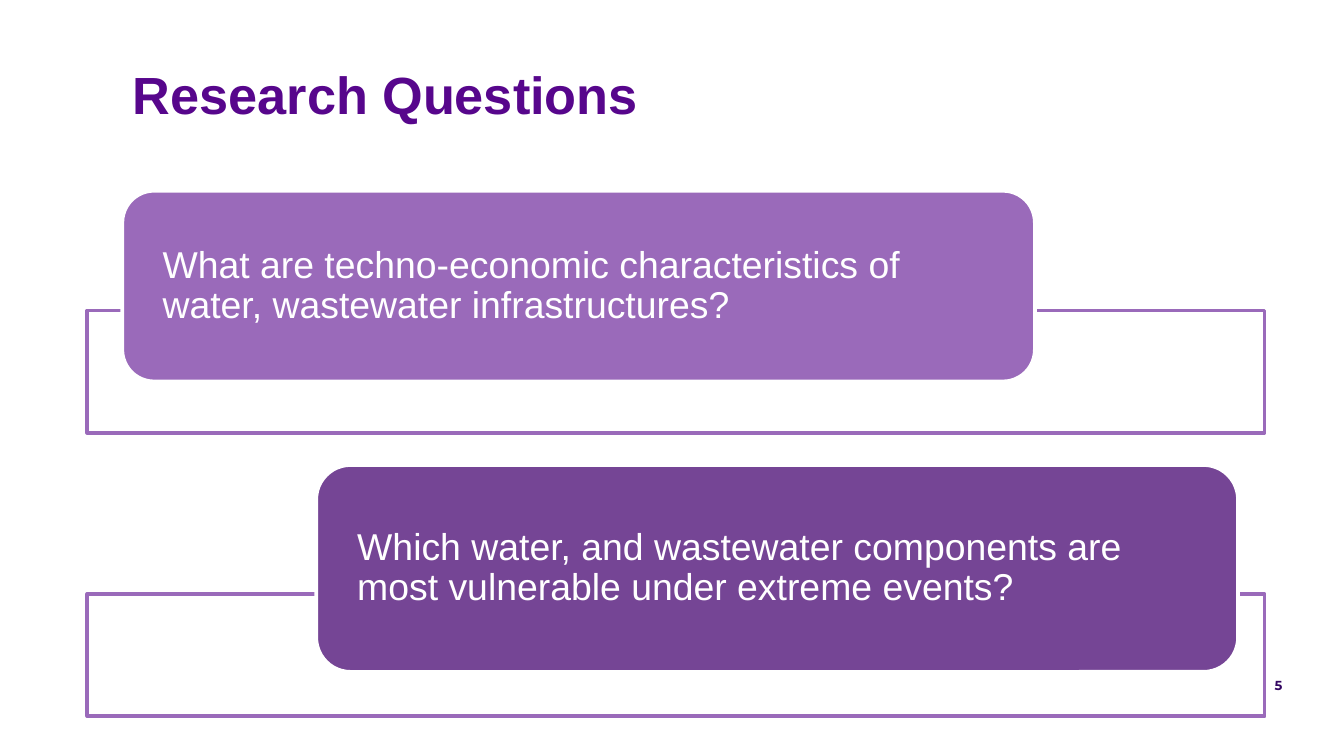
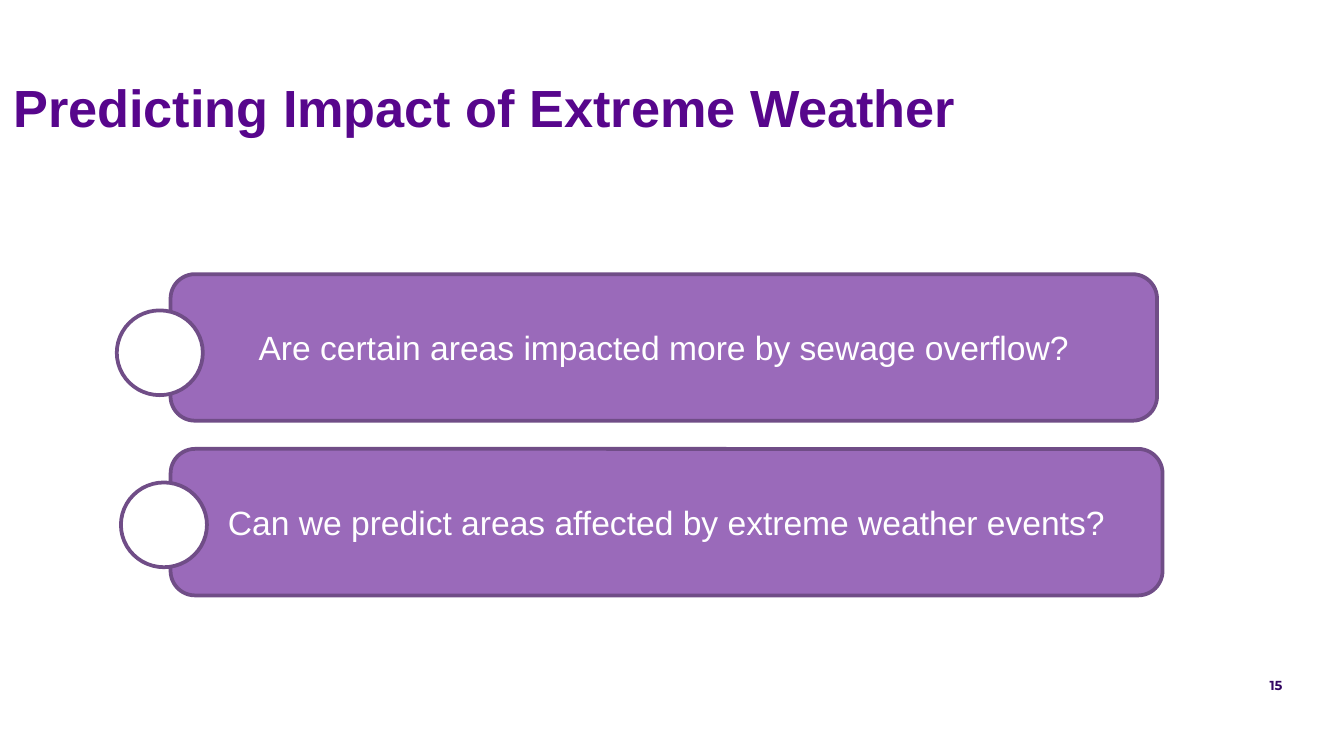
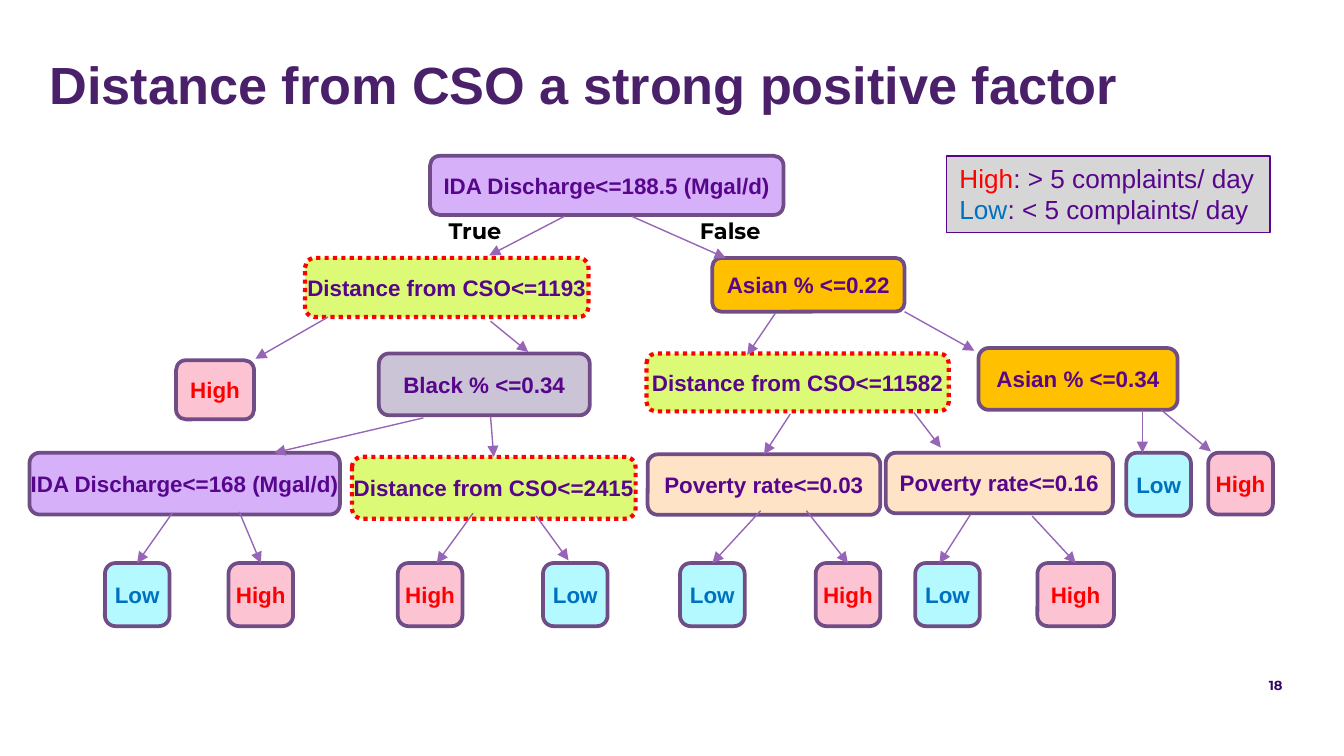
import lxml.etree
import pptx
import pptx.dml.color
import pptx.enum.dml
import pptx.enum.shapes
import pptx.enum.text
import pptx.oxml.ns
import pptx.util

Pt = pptx.util.Pt
qn = pptx.oxml.ns.qn
color = pptx.dml.color.RGBColor.from_string
ROUNDED = pptx.enum.shapes.MSO_SHAPE.ROUNDED_RECTANGLE
RECTANGLE = pptx.enum.shapes.MSO_SHAPE.RECTANGLE
OVAL = pptx.enum.shapes.MSO_SHAPE.OVAL
DOTS = pptx.enum.dml.MSO_LINE.ROUND_DOT
ALIGN = pptx.enum.text.PP_ALIGN
ANCHOR = pptx.enum.text.MSO_ANCHOR

WHITE, BLACK = "FFFFFF", "000000"
PURPLE, DEEP_PURPLE, NUMBER_PURPLE = "57068C", "4A206A", "330662"
LILAC, PLUM, OUTLINE, ARROW = "9A6ABA", "754595", "704D87", "9665B6"
RED, BLUE = "FF0000", "0070C0"


def write(frame, paragraphs, size, font="Arial", bold=False, align=ALIGN.LEFT,
          anchor=ANCHOR.TOP, insets=(7.2, 3.6), wrap=True, spacing=1.0):
    """Fill a text frame; each paragraph is a list of (text, colour) spans."""
    across, down = (Pt(inset) for inset in insets)
    frame_format = {
        "margin_left": across, "margin_right": across,
        "margin_top": down, "margin_bottom": down,
        "vertical_anchor": anchor, "word_wrap": wrap,
        "auto_size": pptx.enum.text.MSO_AUTO_SIZE.NONE,
    }
    for name, value in frame_format.items():
        setattr(frame, name, value)
    for index, spans in enumerate(paragraphs):
        para = frame.paragraphs[0] if index == 0 else frame.add_paragraph()
        para.alignment = align
        para.line_spacing = spacing
        for text, shade in spans:
            span = para.add_run()
            span.text = text
            for name, value in {"name": font, "size": Pt(size), "bold": bold}.items():
                setattr(span.font, name, value)
            span.font.color.rgb = color(shade)


def draw(page, kind, place, fill, line, width=2):
    box = page.shapes.add_shape(kind, *(Pt(length) for length in place))
    box.shadow.inherit = False
    box.fill.solid()
    box.fill.fore_color.rgb = color(fill)
    box.line.color.rgb = color(line)
    box.line.width = Pt(width)
    return box


deck = pptx.Presentation()
deck.slide_width, deck.slide_height = Pt(720), Pt(405)

# Titles and page numbers
pages = []
for title, place, shade, number in [
    ("Research Questions", (64, 26, 656, 45.4), PURPLE, "5"),
    ("Predicting Impact of Extreme Weather", (0, 33, 720, 98.6), PURPLE, "15"),
    ("Distance from CSO a strong positive factor", (19.4, 21, 663, 45.4), DEEP_PURPLE, "18"),
]:
    page = deck.slides.add_slide(deck.slide_layouts[5])
    heading = page.shapes.title
    for side, length in zip(("left", "top", "width", "height"), place):
        setattr(heading, side, Pt(length))
    write(heading.text_frame, [[(title, shade)]], 28, bold=True, insets=(7.2, 7.2))
    number_box = page.shapes.add_textbox(Pt(363.6), Pt(355.7), Pt(330.5), Pt(24.5))
    write(number_box.text_frame, [[(number, NUMBER_PURPLE)]], 7, font="Montserrat",
          bold=True, align=ALIGN.RIGHT, insets=(7.2, 7.2))
    pages.append(page)
questions_page, impact_page, tree_page = pages

# Research questions
for frame_top, place, fill, question in [
    (166.3, (65.5, 102.2, 488.9, 102.2), LILAC,
     "What are techno-economic characteristics of water, wastewater infrastructures?"),
    (318.2, (169.4, 249.1, 493.9, 110.9), PLUM,
     "Which water, and wastewater components are most vulnerable under extreme events?"),
]:
    frame_box = draw(questions_page, RECTANGLE, (46.8, frame_top, 630.7, 65.5), WHITE, LILAC)
    frame_color = frame_box.element.spPr.find(qn("a:solidFill"))[0]
    lxml.etree.SubElement(frame_color, qn("a:alpha"), val="90000")
    box = draw(questions_page, ROUNDED, place, fill, WHITE)
    write(box.text_frame, [[(question, WHITE)]], 20, anchor=ANCHOR.MIDDLE,
          insets=(16.6, 0), spacing=0.9)

# Impact of extreme weather
for top, width, circle_place, question in [
    (146.9, 528.5, (62.6, 166.3, 46.1, 45.4),
     "Are certain areas impacted more by sewage overflow?"),
    (240.5, 531.4, (64.8, 258.5, 46.1, 45.4),
     "Can we predict areas affected by extreme weather events?"),
]:
    box = draw(impact_page, ROUNDED, (91.4, top, width, 78.5), LILAC, OUTLINE)
    write(box.text_frame, [[(question, WHITE)]], 18, align=ALIGN.CENTER, anchor=ANCHOR.MIDDLE)
    draw(impact_page, OVAL, circle_place, WHITE, OUTLINE)

# Decision tree: fill and text colour by the first word of a node
node_colors = {
    "IDA": ("D6B1FA", PURPLE),
    "Distance": ("DDFA76", PURPLE),
    "Asian": ("FFC000", PURPLE),
    "Black": ("CBC3D6", PURPLE),
    "Poverty": ("FFE3C7", PURPLE),
    "High": ("FCC4D3", RED),
    "Low": ("B4F9FF", BLUE),
}
nodes = [
    ("IDA Discharge<=188.5 (Mgal/d)", 230.4, 83.5, 189.4, 31.7),
    ("Distance from CSO<=1193", 163.4, 138.2, 151.9, 31.7),
    ("Asian % <=0.22", 381.6, 138.2, 103, 28.8),
    ("High", 94.3, 193, 41.8, 31.7),
    ("Black % <=0.34", 203, 189.4, 113, 33.1),
    ("Distance from CSO<=11582", 346.3, 189.4, 162, 31),
    ("Asian % <=0.34", 524.2, 186.5, 106.6, 33.1),
    ("IDA Discharge<=168 (Mgal/d)", 15.8, 242.6, 166.3, 33.1),
    ("Distance from CSO<=2415", 188.6, 244.8, 151.9, 33.1),
    ("Poverty rate<=0.03", 347, 243.4, 124.6, 32.4),
    ("Poverty rate<=0.16", 474.5, 242.6, 121.7, 32.4),
    ("Low", 603.4, 242.6, 34.6, 33.8),
    ("High", 647.3, 242.6, 34.6, 33.1),
]
bottom_leaves = [
    ("Low", 56.2, 34.6), ("High", 122.4, 34.6), ("High", 213.1, 34.6), ("Low", 290.9, 34.6),
    ("Low", 364.3, 34.6), ("High", 437, 34.6), ("Low", 490.3, 34.6), ("High", 555.8, 41),
]
nodes += [(label, left, 301.7, width, 33.8) for label, left, width in bottom_leaves]

node_boxes = []
for label, *place in nodes:
    kind = label.split()[0]
    fill, shade = node_colors[kind]
    box = draw(tree_page, ROUNDED, place, fill, OUTLINE)
    if kind == "Distance":
        box.line.color.rgb = color(RED)
        box.line.width = Pt(2.25)
        box.line.dash_style = DOTS
    write(box.text_frame, [[(label, shade)]], 12, bold=True, align=ALIGN.CENTER,
          anchor=ANCHOR.MIDDLE, insets=(0, 0), wrap=False)
    node_boxes.append(box)

# Arrows: start x, start y, end x, end y
for ends in [
    (302.4, 115.9, 262.1, 136.8), (338.4, 115.9, 388.8, 138.2),
    (175.7, 169.9, 136.8, 192.2), (262.8, 172.1, 283, 188.6),
    (415.4, 167.8, 400.3, 190.1), (484.6, 167, 522, 187.9),
    (226.8, 223.9, 146.9, 242.6), (262.8, 223.2, 264.2, 244.8),
    (423.4, 221.8, 411.1, 241.9), (489.6, 221, 504, 239.8),
    (612, 219.6, 612, 242.6), (622.1, 219.6, 648.7, 241.9),
    (92.2, 275, 71.3, 300.2), (128.2, 274.3, 140.4, 301.7),
    (253.4, 275, 234, 301.7), (287.3, 276.5, 304.6, 300.2),
    (407.5, 273.6, 383.8, 301.7), (432, 273.6, 456.5, 301.7),
    (519.8, 275.8, 503.3, 301.7), (553, 276.5, 573.8, 301),
]:
    arrow = tree_page.shapes.add_connector(
        pptx.enum.shapes.MSO_CONNECTOR.STRAIGHT, *(Pt(length) for length in ends))
    arrow.line.color.rgb = color(ARROW)
    arrow.line.width = Pt(0.75)
    properties = arrow.element.spPr
    lxml.etree.SubElement(properties.find(qn("a:ln")), qn("a:tailEnd"), type="triangle")
    lxml.etree.SubElement(properties, qn("a:effectLst"))
    end_x, end_y = ends[2:]
    for box, (label, left, top, width, height) in zip(node_boxes, nodes):
        if abs(left + width / 2 - end_x) < 3 and abs(top - end_y) < 3:
            arrow.end_connect(box, 0)

# Legend and branch labels
legend = draw(tree_page, RECTANGLE, (506.9, 83.5, 173.5, 41), "D6D6D6", PURPLE, 0.75)
write(legend.text_frame, [
    [("High", RED), (": > 5 complaints/ day", PURPLE)],
    [("Low", BLUE), (": < 5 complaints/ day", PURPLE)],
], 14)
for label, left in [("True", 233.3), ("False", 367.9)]:
    branch = tree_page.shapes.add_textbox(Pt(left), Pt(109.4), Pt(51.1), Pt(28.8))
    write(branch.text_frame, [[(label, BLACK)]], 12, font="Montserrat", bold=True,
          insets=(7.2, 7.2))

deck.save("out.pptx")
